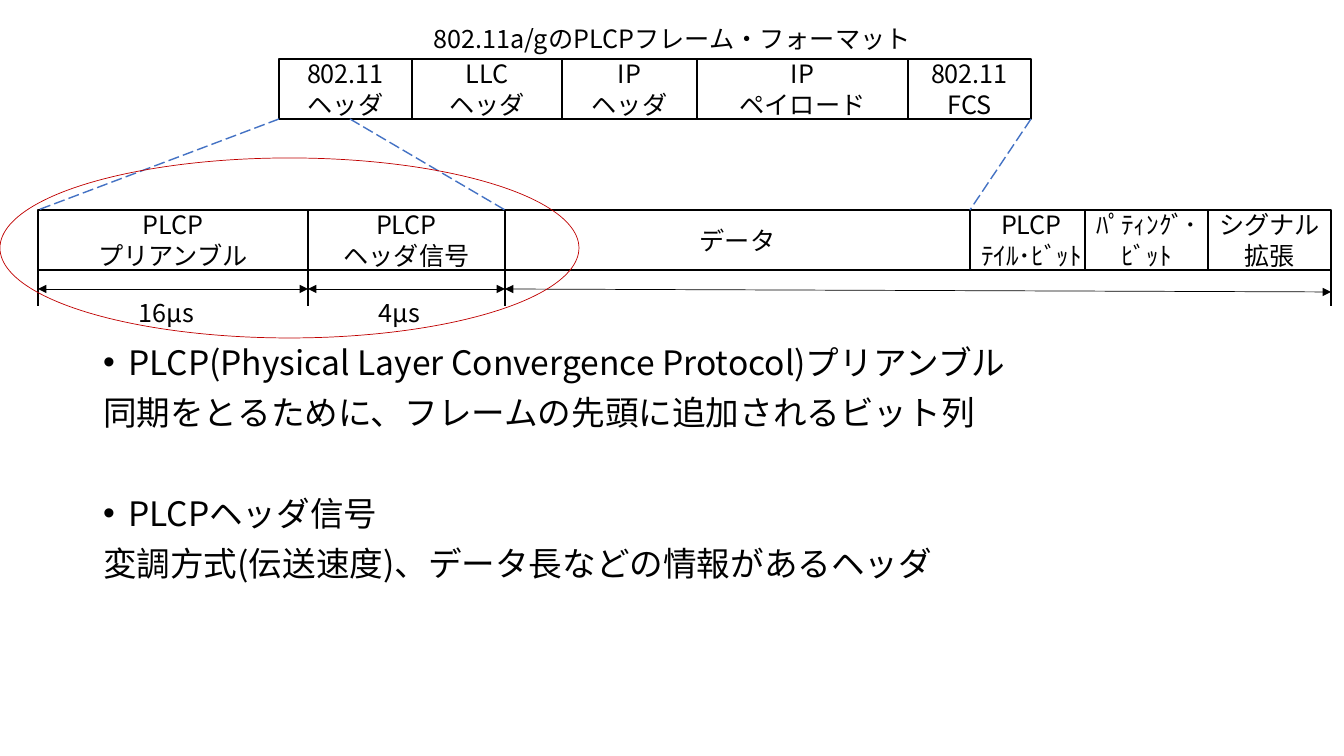
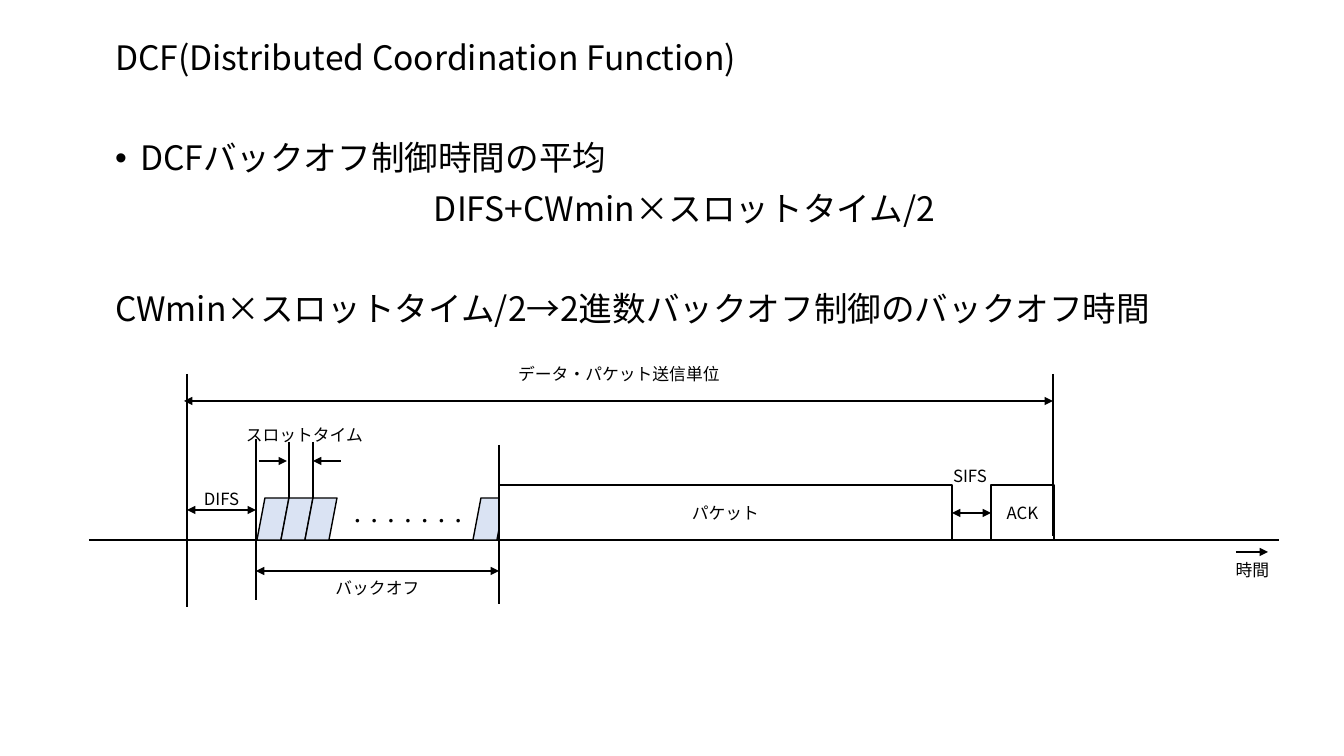
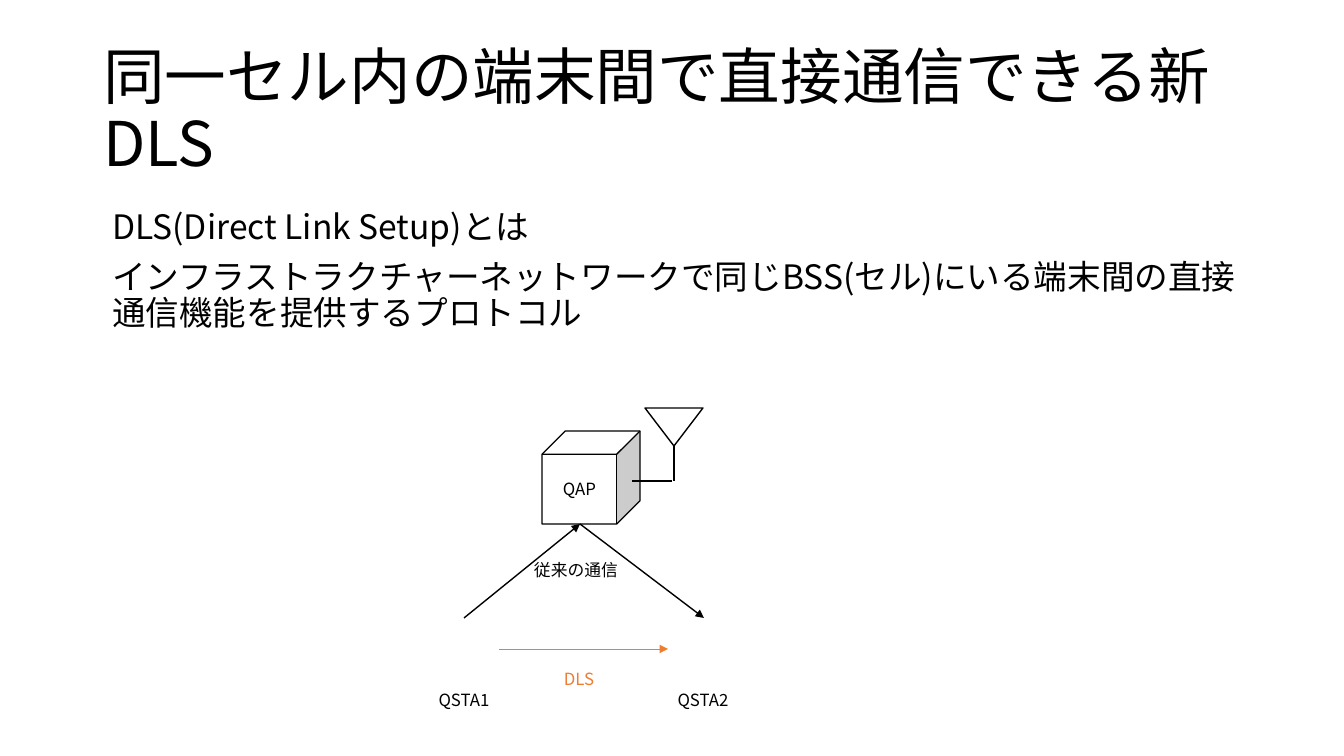
from pptx import Presentation
from pptx.dml.color import RGBColor
from pptx.enum.dml import MSO_LINE
from pptx.enum.shapes import MSO_CONNECTOR, MSO_SHAPE
from pptx.enum.text import MSO_ANCHOR, MSO_AUTO_SIZE, PP_ALIGN
from pptx.oxml.ns import qn
from pptx.util import Emu, Pt
from lxml import etree

LEFT, CENTER = PP_ALIGN.LEFT, PP_ALIGN.CENTER
TOP, MIDDLE = MSO_ANCHOR.TOP, MSO_ANCHOR.MIDDLE
NO_FIT, GROW = MSO_AUTO_SIZE.NONE, MSO_AUTO_SIZE.SHAPE_TO_FIT_TEXT
LONG_DASH = MSO_LINE.LONG_DASH
STRAIGHT = MSO_CONNECTOR.STRAIGHT
RECTANGLE, OVAL = MSO_SHAPE.RECTANGLE, MSO_SHAPE.OVAL
SLOT, CUBE, TRIANGLE = MSO_SHAPE.PARALLELOGRAM, MSO_SHAPE.CUBE, MSO_SHAPE.ISOSCELES_TRIANGLE

EMU_PER_PIXEL = 914400 / 100.8
FONT = "Noto Sans CJK JP"
BLACK, WHITE = "000000", "FFFFFF"
BLUE, PALE_BLUE, RED, ORANGE = "4472C4", "DAE3F3", "C00000", "ED7D31"


def pixels(value):
    return Emu(round(value * EMU_PER_PIXEL))


def color(hex_value):
    return RGBColor.from_string(hex_value)


def apply(target, formats):
    for name, value in formats.items():
        setattr(target, name, value)


class Deck:
    """Holds the shared style and the current slide."""

    title_size, body_size, frame_size, label_size = 44, 24, 18, 12
    bullet_indent = 25
    paragraph_gap, section_gap = Pt(10), Pt(46)

    def __init__(self):
        self.presentation = Presentation()
        apply(self.presentation, {"slide_width": pixels(1344), "slide_height": pixels(756)})
        self.slide = None

    def new_slide(self):
        layout = self.presentation.slide_layouts[1]
        self.slide = self.presentation.slides.add_slide(layout)

    def add_text(self, paragraph, text, size, text_color=BLACK, **formats):
        run = paragraph.add_run()
        run.text = text
        run.font.color.rgb = color(text_color)
        apply(run.font, {"size": Pt(size), "name": FONT})
        etree.SubElement(run.font._element, qn("a:ea"), typeface=FONT)
        apply(paragraph, formats)

    def fill_text(self, frame, lines, size, text_color=BLACK, align=CENTER):
        for number, line in enumerate(lines):
            paragraph = frame.add_paragraph() if number else frame.paragraphs[0]
            self.add_text(paragraph, line, size, text_color, alignment=align)

    def place(self, shape, box):
        apply(shape, dict(zip(("left", "top", "width", "height"), map(pixels, box))))

    # Placeholders
    def title(self, text, box):
        title = self.slide.shapes.title
        self.place(title, box)
        apply(title.text_frame, {"vertical_anchor": MIDDLE, "auto_size": NO_FIT})
        self.add_text(title.text_frame.paragraphs[0], text, self.title_size,
                      alignment=LEFT, line_spacing=0.9)

    def no_title(self):
        title = self.slide.shapes.title
        title._element.getparent().remove(title._element)

    def body(self, items, box):
        """Each item is a text and its options: bullet, section, center."""
        body = self.slide.placeholders[1]
        self.place(body, box)
        frame = body.text_frame
        apply(frame, {"vertical_anchor": TOP, "auto_size": NO_FIT})
        for number, (text, *options) in enumerate(items):
            paragraph = frame.add_paragraph() if number else frame.paragraphs[0]
            self.add_text(
                paragraph, text, self.body_size, line_spacing=0.9,
                alignment=CENTER if "center" in options else LEFT,
                space_before=self.section_gap if "section" in options else self.paragraph_gap)
            bulleted = "bullet" in options
            indent = pixels(self.bullet_indent) if bulleted else 0
            properties = paragraph._p.get_or_add_pPr()
            properties.set("marL", str(indent))
            properties.set("indent", str(-indent))
            if bulleted:
                etree.SubElement(properties, qn("a:buFont"), typeface="Arial")
                etree.SubElement(properties, qn("a:buChar"), char="•")
            else:
                etree.SubElement(properties, qn("a:buNone"))

    # Drawing elements
    def shape(self, kind, box, lines=(), size=label_size, fill=WHITE, line=BLACK, width=1):
        shape = self.slide.shapes.add_shape(kind, *map(pixels, box))
        shape.shadow.inherit = False
        if fill:
            shape.fill.solid()
            shape.fill.fore_color.rgb = color(fill)
        else:
            shape.fill.background()
        shape.line.color.rgb = color(line)
        shape.line.width = Pt(width)
        apply(shape.text_frame, {"vertical_anchor": MIDDLE, "word_wrap": True})
        self.fill_text(shape.text_frame, lines, size)
        return shape

    def fields(self, top, height, fields):
        for left, width, *lines in fields:
            self.shape(RECTANGLE, (left, top, width, height), lines, self.frame_size)

    def label(self, text, left, top, width, size=label_size, height=30,
              text_color=BLACK, align=CENTER):
        box = self.slide.shapes.add_textbox(*map(pixels, (left, top, width, height)))
        apply(box.text_frame, {"word_wrap": True, "auto_size": GROW})
        self.fill_text(box.text_frame, [text], size, text_color, align)

    def line(self, start, end, line_color=BLACK, width=1, dash=None, ends=""):
        """ends names the arrowheads: head at the start, tail at the end."""
        connector = self.slide.shapes.add_connector(STRAIGHT, *map(pixels, (*start, *end)))
        connector.line.color.rgb = color(line_color)
        connector.line.width = Pt(width)
        if dash:
            connector.line.dash_style = dash
        for name in ends.split():
            etree.SubElement(connector.line._get_or_add_ln(), qn(f"a:{name}End"), type="triangle")
        etree.SubElement(connector._element.spPr, qn("a:effectLst"))

    def vertical(self, x, top, bottom):
        self.line((x, top), (x, bottom))

    def span(self, start, end, width=1):
        self.line(start, end, width=width, ends="head tail")

    def arrow(self, start, end, line_color=BLACK, width=1):
        self.line(start, end, line_color, width, ends="tail")


deck = Deck()

# Slide 1: PLCP frame format
deck.new_slide()
deck.no_title()
deck.body([
    ("PLCP(Physical Layer Convergence Protocol)プリアンブル", "bullet"),
    ("同期をとるために、フレームの先頭に追加されるビット列",),
    ("PLCPヘッダ信号", "bullet", "section"),
    ("変調方式(伝送速度)、データ長などの情報があるヘッダ",),
], (93, 341, 1159, 415))

mac_top, plcp_top, field_height = 59, 210, 60
mac_bottom, plcp_bottom = mac_top + field_height, plcp_top + field_height
deck.fields(mac_top, field_height, [
    (279, 133, "802.11", "ヘッダ"),
    (412, 150, "LLC", "ヘッダ"),
    (562, 135, "IP", "ヘッダ"),
    (697, 211, "IP", "ペイロード"),
    (908, 123, "802.11", "FCS"),
])
deck.fields(plcp_top, field_height, [
    (38, 270, "PLCP", "プリアンブル"),
    (308, 197, "PLCP", "ヘッダ信号"),
    (505, 465, "データ"),
    (970, 123, "PLCP", "ﾃｲﾙ･ﾋﾞｯﾄ"),
    (1085, 123, "ﾊﾟﾃｨﾝｸﾞ･", "ﾋﾞｯﾄ"),
    (1208, 123, "シグナル", "拡張"),
])

# Zoom guides between the two frames
for mac_x, plcp_x in ((279, 38), (350, 505), (1031, 970)):
    deck.line((mac_x, mac_bottom), (plcp_x, plcp_top), BLUE, dash=LONG_DASH)

# Durations below the frame
for x in (38, 308, 505, 1331):
    deck.vertical(x, plcp_bottom, 306)
for start, end in (((38, 289), (308, 289)), ((308, 289), (505, 289)), ((505, 289), (1331, 292))):
    deck.span(start, end, 0.5)
for duration, left in (("16μs", 129), ("4μs", 369)):
    deck.label(duration, left, 292, 88, deck.frame_size, align=LEFT)
deck.shape(OVAL, (0, 158, 579, 180), fill=None, line=RED, width=0.5)
deck.label("802.11a/gのPLCPフレーム・フォーマット", 380, 18, 584, deck.frame_size, 40)

# Slide 2: DCF backoff timing
deck.new_slide()
deck.no_title()
deck.body([
    ("DCF(Distributed Coordination Function)",),
    ("DCFバックオフ制御時間の平均", "bullet", "section"),
    ("DIFS+CWmin×スロットタイム/2", "center"),
    ("CWmin×スロットタイム/2→2進数バックオフ制御のバックオフ時間", "section"),
], (105, 36, 1159, 301))

unit_start, backoff_start, packet_start, unit_end = 187, 256, 499, 1053
axis_y, packet_top, packet_height = 540, 485, 55
slot_top, slot_width, slot_height, slot_step = 498, 32, 42, 24

# Time axis
deck.vertical(packet_start, 445, 604)
deck.line((89, axis_y), (1279, axis_y))
deck.arrow((1236, 552), (1268, 552))

# Backoff slots, packet and acknowledgement
first_slots = [257 + slot_step * number for number in range(3)]
for left in (*first_slots, 473):
    deck.shape(SLOT, (left, slot_top, slot_width, slot_height), fill=PALE_BLUE)
deck.shape(RECTANGLE, (packet_start, packet_top, 453, packet_height), ["パケット"])
deck.shape(RECTANGLE, (991, packet_top, 63, packet_height), ["ACK"])

# Boundaries and intervals
for x, top, bottom in ((backoff_start, 439, 600), (unit_start, 374, 607),
                       (289, 442, slot_top), (313, 442, slot_top), (unit_end, 374, 536)):
    deck.vertical(x, top, bottom)
for left, right, y in ((unit_start, backoff_start, 510), (952, 991, 513),
                       (backoff_start, packet_start, 571), (184, unit_end, 401)):
    deck.span((left, y), (right, y))
for start_x, end_x in ((341, 313), (259, 287)):
    deck.arrow((start_x, 461), (end_x, 461))
for text, left, top, width in (
        ("時間", 1223, 555, 59), ("DIFS", 182, 484, 79), ("SIFS", 941, 461, 58),
        ("・・・・・・・", 327, 506, 162), ("バックオフ", 325, 573, 105),
        ("スロットタイム", 226, 420, 157), ("データ・パケット送信単位", 486, 359, 266)):
    deck.label(text, left, top, width)

# Slide 3: direct link setup
deck.new_slide()
deck.title("同一セル内の端末間で直接通信できる新DLS", (93, 40, 1159, 146))
deck.body([
    ("DLS(Direct Link Setup)とは",),
    ("インフラストラクチャーネットワークで同じBSS(セル)にいる"
     "端末間の直接通信機能を提供するプロトコル",),
], (102, 205, 1159, 481))

# Access point with antenna
deck.shape(CUBE, (542, 431, 98, 93), ["QAP"])
deck.line((672, 481), (632, 481))
deck.vertical(674, 444, 481)
antenna = deck.shape(TRIANGLE, (645, 408, 58, 38))
antenna.rotation = 180

# Paths between the stations
access_point = (580, 524)
deck.arrow((464, 618), access_point)
deck.arrow(access_point, (704, 618))
deck.arrow((499, 649), (668, 649), ORANGE, 0.5)
for text, left, top, text_color in (
        ("QSTA1", 400, 685, BLACK), ("QSTA2", 639, 685, BLACK),
        ("DLS", 515, 664, ORANGE), ("従来の通信", 512, 555, BLACK)):
    deck.label(text, left, top, 128, text_color=text_color)

deck.presentation.save("out.pptx")
